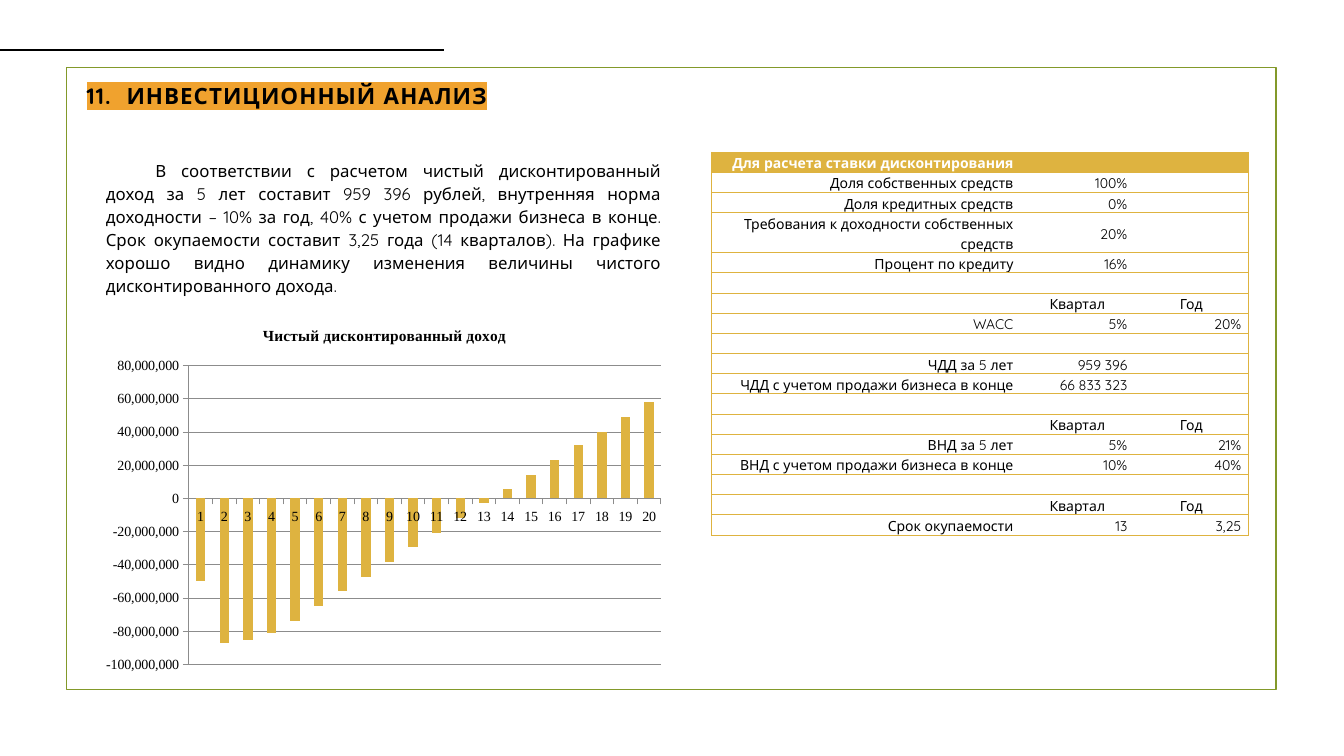
"""Builds the investment analysis slide with a chart and a rate table."""
import pptx
import pptx.util
import pptx.chart.data
import pptx.dml.color
import pptx.enum.chart
import pptx.enum.shapes
import pptx.enum.text
import pptx.oxml
import pptx.oxml.ns
import lxml.etree

Inches, Pt = pptx.util.Inches, pptx.util.Pt
ALIGN = pptx.enum.text.PP_ALIGN
ANCHOR = pptx.enum.text.MSO_ANCHOR
qn = pptx.oxml.ns.qn

COLORS = {"gold": "DEB340", "green": "83992A", "mark": "F0A22E",
          "black": "000000", "white": "FFFFFF", "gray": "8C8C8C"}
FONT, SERIF = "Quicksand", "Times New Roman"
TITLE = "11.  ИНВЕСТИЦИОННЫЙ АНАЛИЗ"
BODY = ("В соответствии с расчетом чистый дисконтированный доход за 5 лет "
        "составит 959 396 рублей, внутренняя норма доходности – 10% за год, "
        "40% с учетом продажи бизнеса в конце. Срок окупаемости составит "
        "3,25 года (14 кварталов). На графике хорошо видно динамику изменения "
        "величины чистого дисконтированного дохода.")
EMPTY = ("", "", "")
HEADS = ("", "Квартал", "Год")
ROWS = [
    ("Для расчета ставки дисконтирования", "", ""),
    ("Доля собственных средств", "100%", ""),
    ("Доля кредитных средств", "0%", ""),
    ("Требования к доходности собственных средств", "20%", ""),
    ("Процент по кредиту", "16%", ""),
    EMPTY,
    HEADS,
    ("WACC", "5%", "20%"),
    EMPTY,
    ("ЧДД за 5 лет", "959 396", ""),
    ("ЧДД с учетом продажи бизнеса в конце", "66 833 323", ""),
    EMPTY,
    HEADS,
    ("ВНД за 5 лет", "5%", "21%"),
    ("ВНД с учетом продажи бизнеса в конце", "10%", "40%"),
    EMPTY,
    HEADS,
    ("Срок окупаемости", "13", "3,25"),
]
WIDTHS = (3.06, 1.13, 1.13)
ROW_H = 0.2
CHART_NAME = "Чистый дисконтированный доход"
MILLIONS = [-50, -87, -85, -81, -74, -65, -56, -47, -38, -29,
            -21, -12, -3, 6, 14, 23, 32, 40, 49, 58]
PLOT = {"x": 0.16, "y": 0.15, "w": 0.82, "h": 0.81}


def rgb(name):
    return pptx.dml.color.RGBColor.from_string(COLORS[name])


def style(font, size, color="black", bold=False, face=FONT):
    font.size, font.bold, font.name = Pt(size), bold, face
    font.color.rgb = rgb(color)


def place(shape, left, top, width, height):
    shape.left, shape.top = Inches(left), Inches(top)
    shape.width, shape.height = Inches(width), Inches(height)


def add_run(para, text, size, color="black", bold=False):
    run = para.add_run()
    run.text = text
    style(run.font, size, color, bold)
    return run


def prepare(holder):
    frame = holder.text_frame
    frame.word_wrap = True
    frame.auto_size = pptx.enum.text.MSO_AUTO_SIZE.NONE
    frame.vertical_anchor = ANCHOR.TOP
    return frame.paragraphs[0]


def add_title(slide):
    holder = slide.shapes.title
    place(holder, 0.76, 0.76, 11.8, 0.37)
    para = prepare(holder)
    para.alignment = ALIGN.LEFT
    props = add_run(para, TITLE, 16, bold=True).font._element
    props.set("spc", "80")
    mark = lxml.etree.Element(qn("a:highlight"))
    lxml.etree.SubElement(mark, qn("a:srgbClr"), val=COLORS["mark"])
    props.find(qn("a:solidFill")).addnext(mark)


def add_body(slide):
    holder = slide.placeholders[1]
    place(holder, 0.95, 1.51, 5.71, 1.47)
    para = prepare(holder)
    para.alignment, para.line_spacing = ALIGN.JUSTIFY, 1.15
    para.space_before, para.space_after = Pt(0), Pt(10)
    props = para._p.get_or_add_pPr()
    props.set("marL", "0")
    props.set("indent", str(Inches(0.49)))
    lxml.etree.SubElement(props, qn("a:buNone"))
    add_run(para, BODY, 12)


def add_frame(slide):
    frame = slide.shapes.add_shape(
        pptx.enum.shapes.MSO_SHAPE.RECTANGLE,
        Inches(0.66), Inches(0.67), Inches(12), Inches(6.17))
    frame.shadow.inherit = False
    frame.fill.background()
    frame.line.color.rgb = rgb("green")
    frame.line.width = Pt(1.25)
    rule = slide.shapes.add_connector(
        pptx.enum.shapes.MSO_CONNECTOR.STRAIGHT,
        Inches(0), Inches(0.5), Inches(4.4), Inches(0.5))
    rule.line.color.rgb = rgb("black")
    rule.line.width = Pt(1.5)
    lxml.etree.SubElement(rule._element.spPr, qn("a:effectLst"))


def set_edges(cell, shown):
    props = cell._tc.get_or_add_tcPr()
    for spot, side in enumerate("LRTB"):
        edge = lxml.etree.Element(qn("a:ln" + side), w=str(Pt(0.75)))
        if side in shown:
            fill = lxml.etree.SubElement(edge, qn("a:solidFill"))
            lxml.etree.SubElement(fill, qn("a:srgbClr"), val=COLORS["gold"])
        else:
            lxml.etree.SubElement(edge, qn("a:noFill"))
        props.insert(spot, edge)


def fill_cell(cell, text, head, center):
    cell.margin_left = cell.margin_right = Inches(0.07)
    cell.margin_top = cell.margin_bottom = 0
    cell.vertical_anchor = ANCHOR.MIDDLE
    if head:
        cell.fill.solid()
        cell.fill.fore_color.rgb = rgb("gold")
    else:
        cell.fill.background()
    para = cell.text_frame.paragraphs[0]
    para.alignment = ALIGN.CENTER if center else ALIGN.RIGHT
    para.line_spacing = 1.15
    if text:
        add_run(para, text, 10, "white" if head else "black", head)
    else:
        end = lxml.etree.SubElement(para._p, qn("a:endParaRPr"), sz="1000")
        lxml.etree.SubElement(end, qn("a:latin"), typeface=FONT)


def add_rates(slide):
    table = slide.shapes.add_table(
        len(ROWS), len(WIDTHS), Inches(7.06), Inches(1.51),
        Inches(sum(WIDTHS)), Inches(ROW_H * len(ROWS))).table
    table.first_row = table.horz_banding = False
    for col, width in zip(table.columns, WIDTHS):
        col.width = Inches(width)
    for r, row in enumerate(ROWS):
        table.rows[r].height = Inches(ROW_H)
        for c, text in enumerate(row):
            cell = table.cell(r, c)
            fill_cell(cell, text, r == 0, row is HEADS)
            set_edges(cell, "TB" + ("L", "", "R")[c])


def add_income(slide):
    data = pptx.chart.data.CategoryChartData(number_format="#,##0")
    data.categories = [str(n + 1) for n in range(len(MILLIONS))]
    data.add_series("Series 1", [n * 1000000 for n in MILLIONS])
    chart = slide.shapes.add_chart(
        pptx.enum.chart.XL_CHART_TYPE.COLUMN_CLUSTERED,
        Inches(0.96), Inches(3.08), Inches(5.71), Inches(3.66), data).chart
    style(chart.font, 10, face=SERIF)
    chart.has_legend = False
    chart.has_title = True
    run = chart.chart_title.text_frame.paragraphs[0].add_run()
    run.text = CHART_NAME
    style(run.font, 11, bold=True, face=SERIF)
    plot = chart.plots[0]
    plot.gap_width, plot.vary_by_categories = 150, False
    bars = plot.series[0]
    bars.invert_if_negative = False
    bars.format.fill.solid()
    bars.format.fill.fore_color.rgb = rgb("gold")
    scale = chart.value_axis
    scale.minimum_scale, scale.maximum_scale = -100000000, 80000000
    scale.major_unit = 20000000
    scale.tick_labels.number_format = "#,##0"
    scale.tick_labels.number_format_is_linked = False
    for axis in (scale, chart.category_axis):
        axis.major_tick_mark = pptx.enum.chart.XL_TICK_MARK.OUTSIDE
        style(axis.tick_labels.font, 10, face=SERIF)
    for part in (scale, chart.category_axis, scale.major_gridlines):
        part.format.line.color.rgb = rgb("gray")
        part.format.line.width = Pt(0.75)
    area = chart._chartSpace.chart.plotArea
    for old in area.findall(qn("c:layout")):
        area.remove(old)
    layout = lxml.etree.Element(qn("c:layout"))
    manual = lxml.etree.SubElement(layout, qn("c:manualLayout"))
    modes = {"layoutTarget": "inner", "xMode": "edge", "yMode": "edge"}
    for tag, value in {**modes, **PLOT}.items():
        lxml.etree.SubElement(manual, qn("c:" + tag), val=str(value))
    area.insert(0, layout)


def main():
    deck = pptx.Presentation()
    deck.slide_width, deck.slide_height = Inches(13.33), Inches(7.5)
    slide = deck.slides.add_slide(deck.slide_layouts[1])
    for build in (add_frame, add_title, add_body, add_rates, add_income):
        build(slide)
    deck.save("out.pptx")


if __name__ == "__main__":
    main()
